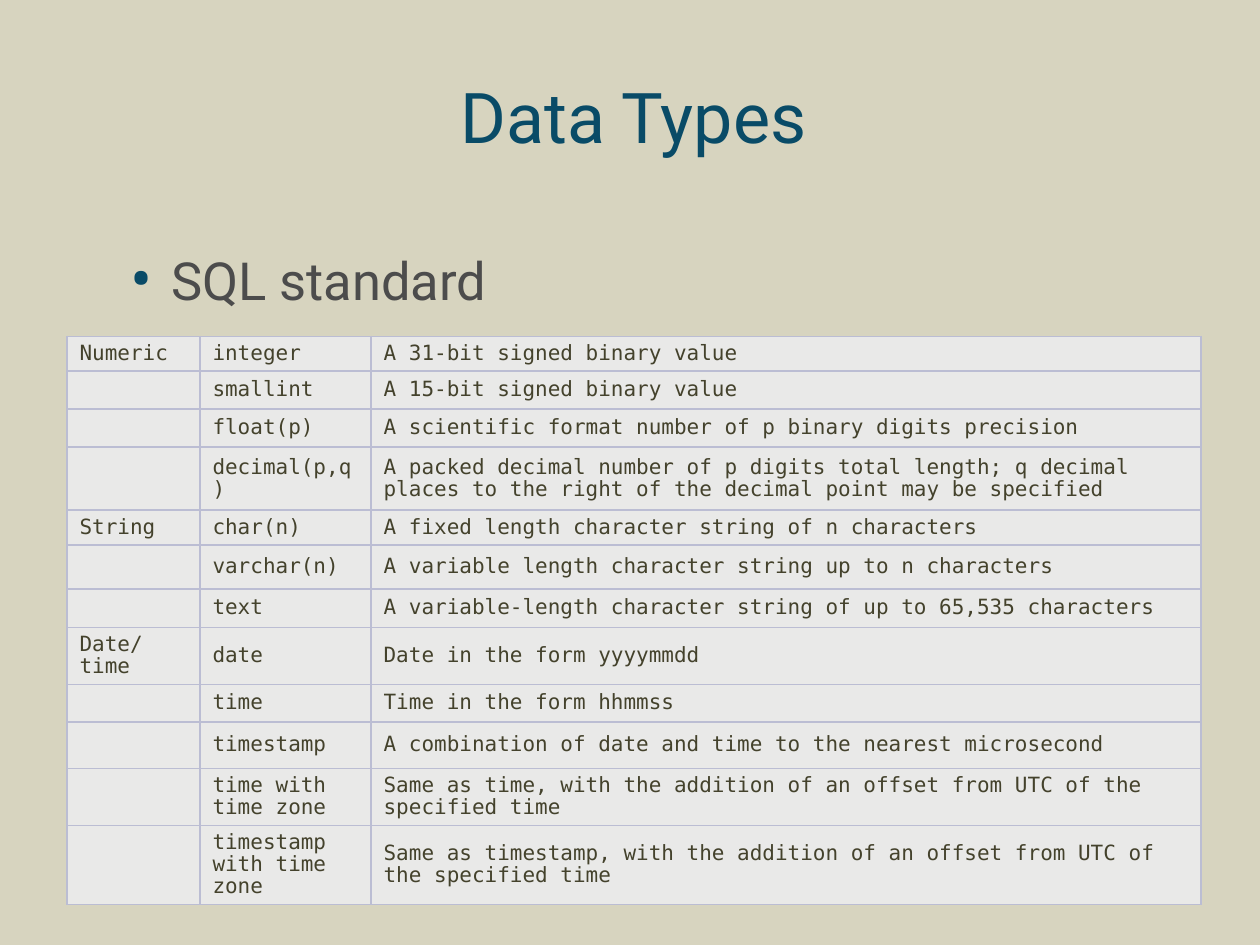
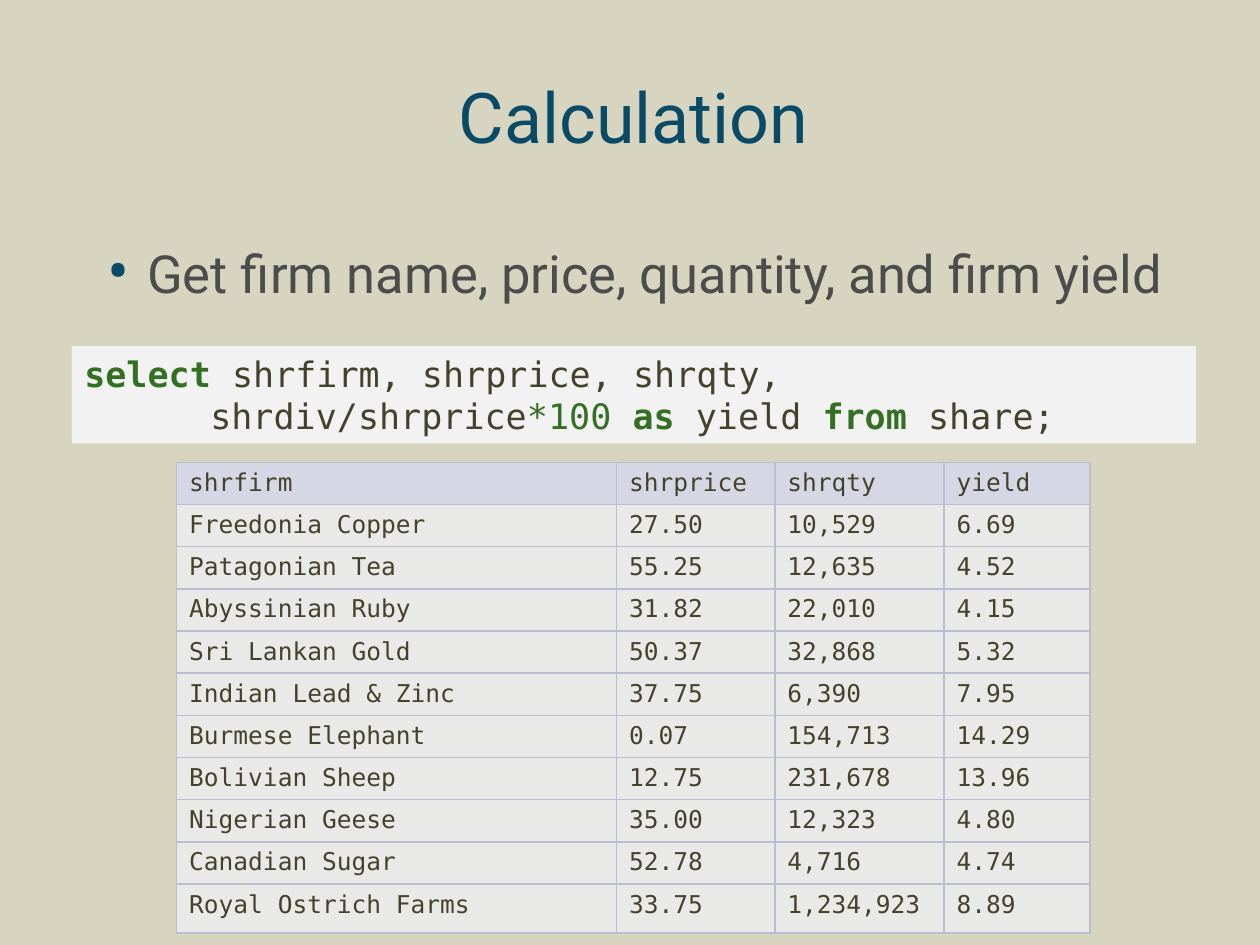
from lxml.etree import SubElement
from pptx import Presentation
from pptx.dml.color import RGBColor
from pptx.enum.shapes import MSO_SHAPE
from pptx.enum.text import MSO_ANCHOR as ANCHOR, MSO_AUTO_SIZE as AUTO, PP_ALIGN as ALIGN
from pptx.oxml.ns import qn
from pptx.util import Cm, Pt

SAND = RGBColor(0xD7, 0xD4, 0xBF)
NAVY = RGBColor(0x09, 0x4B, 0x67)
GREY = RGBColor(0x4C, 0x4C, 0x4C)
OLIVE = RGBColor(0x44, 0x42, 0x2C)
GREEN = RGBColor(0x33, 0x70, 0x23)
CODE_FILL = RGBColor(0xF2, 0xF2, 0xF2)
CELL_FILL = RGBColor(0xE9, 0xE9, 0xE8)
HEAD_FILL = RGBColor(0xD6, 0xD7, 0xE5)
BORDER = RGBColor(0xBB, 0xBD, 0xD3)

SANS = "Roboto"
MONO = "DejaVu Sans Mono"
TITLE_BOX = (1.52, 0.79, 22.5, 3.07)

DATA_TYPES = [
    ("Numeric", "integer", "A 31-bit signed binary value"),
    ("", "smallint", "A 15-bit signed binary value"),
    ("", "float(p)", "A scientific format number of p binary digits precision"),
    ("", "decimal(p,q)", "A packed decimal number of p digits total length; q decimal "
                         "places to the right of the decimal point may be specified"),
    ("String", "char(n)", "A fixed length character string of n characters"),
    ("", "varchar(n)", "A variable length character string up to n characters"),
    ("", "text", "A variable-length character string of up to 65,535 characters"),
    ("Date/time", "date", "Date in the form yyyymmdd"),
    ("", "time", "Time in the form hhmmss"),
    ("", "timestamp", "A combination of date and time to the nearest microsecond"),
    ("", "time with time zone", "Same as time, with the addition of an offset from UTC "
                                "of the specified time"),
    ("", "timestamp with time zone", "Same as timestamp, with the addition of an offset "
                                     "from UTC of the specified time"),
]
DATA_TYPE_HEIGHTS = [0.69, 0.75, 0.77, 1.27, 0.69, 0.89, 0.77, 1.13, 0.75, 0.93, 1.13, 1.55]

SHARES = [
    ("shrfirm", "shrprice", "shrqty", "yield"),
    ("Freedonia Copper", "27.50", "10,529", "6.69"),
    ("Patagonian Tea", "55.25", "12,635", "4.52"),
    ("Abyssinian Ruby", "31.82", "22,010", "4.15"),
    ("Sri Lankan Gold", "50.37", "32,868", "5.32"),
    ("Indian Lead & Zinc", "37.75", "6,390", "7.95"),
    ("Burmese Elephant", "0.07", "154,713", "14.29"),
    ("Bolivian Sheep", "12.75", "231,678", "13.96"),
    ("Nigerian Geese", "35.00", "12,323", "4.80"),
    ("Canadian Sugar", "52.78", "4,716", "4.74"),
    ("Royal Ostrich Farms", "33.75", "1,234,923", "8.89"),
]
SHARE_HEIGHTS = [0.85] * 10 + [0.99]

QUERY = [
    [("select ", GREEN, True), ("shrfirm, shrprice, shrqty,", OLIVE, False)],
    [("shrdiv/shrprice", OLIVE, False), ("*100 ", GREEN, False), ("as", GREEN, True),
     (" yield ", OLIVE, False), ("from", GREEN, True), (" share;", OLIVE, False)],
]


def format_run(r, font, size, color, bold=False):
    r.font.name = font
    r.font.size = Pt(size)
    r.font.color.rgb = color
    r.font.bold = bold


def add_titled_slide(prs, title):
    slide = prs.slides.add_slide(prs.slide_layouts[5])
    sp = slide.shapes.title
    sp.left, sp.top, sp.width, sp.height = map(Cm, TITLE_BOX)
    tf = sp.text_frame
    tf.text = title
    tf.auto_size = AUTO.NONE
    tf.vertical_anchor = ANCHOR.MIDDLE
    p = tf.paragraphs[0]
    p.alignment = ALIGN.CENTER
    format_run(p.runs[0], SANS, 40, NAVY)
    return slide


def add_bullet(slide, text, box, margins):
    tf = slide.shapes.add_textbox(*map(Cm, box)).text_frame
    tf.word_wrap = True
    tf.margin_left = tf.margin_right = Cm(margins[0])
    tf.margin_top = tf.margin_bottom = Cm(margins[1])
    tf.text = text
    p = tf.paragraphs[0]
    p.space_before = Pt(7)
    format_run(p.runs[0], SANS, 30, GREY)
    pPr = p._p.get_or_add_pPr()
    pPr.set("marL", str(Cm(1.3)))
    pPr.set("indent", str(Cm(-0.81)))
    color = SubElement(pPr, qn("a:buClr"))
    SubElement(color, qn("a:srgbClr")).set("val", str(NAVY))
    SubElement(pPr, qn("a:buSzPct")).set("val", "125000")
    SubElement(pPr, qn("a:buFont")).set("typeface", SANS)
    SubElement(pPr, qn("a:buChar")).set("char", "•")


def add_query(slide, lines, box):
    sp = slide.shapes.add_shape(MSO_SHAPE.RECTANGLE, *map(Cm, box))
    sp.shadow.inherit = False
    sp.fill.solid()
    sp.fill.fore_color.rgb = CODE_FILL
    sp.line.fill.background()
    tf = sp.text_frame
    tf.word_wrap = True
    tf.vertical_anchor = ANCHOR.TOP
    for i, line in enumerate(lines):
        p = tf.add_paragraph() if i else tf.paragraphs[0]
        p.alignment = ALIGN.LEFT
        if i:
            p._p.get_or_add_pPr().set("marL", str(Cm(2.54)))
        for text, color, bold in line:
            r = p.add_run()
            r.text = text
            format_run(r, MONO, 20, color, bold)


def add_borders(cell):
    tcPr = cell._tc.get_or_add_tcPr()
    for side in "LRTB":
        ln = SubElement(tcPr, qn(f"a:ln{side}"), w=str(Pt(1)))
        fill = SubElement(ln, qn("a:solidFill"))
        SubElement(fill, qn("a:srgbClr")).set("val", str(BORDER))


def fill_cell(cell, text, size, fill, anchor, spacing):
    add_borders(cell)
    cell.fill.solid()
    cell.fill.fore_color.rgb = fill
    cell.vertical_anchor = anchor
    cell.text_frame.text = text
    p = cell.text_frame.paragraphs[0]
    p.line_spacing = spacing
    for r in p.runs:
        format_run(r, MONO, size, OLIVE)
    if not text:
        SubElement(p._p, qn("a:endParaRPr"), sz=str(size * 100))


def add_grid(slide, rows, left, top, widths, heights, size,
             header=False, body_anchor=ANCHOR.MIDDLE, spacing=1.0):
    box = (left, top, sum(widths), sum(heights))
    table = slide.shapes.add_table(len(rows), len(widths), *map(Cm, box)).table
    table.first_row = header
    table.horz_banding = False
    for col, width in zip(table.columns, widths):
        col.width = Cm(width)
    for i, (row, height, texts) in enumerate(zip(table.rows, heights, rows)):
        row.height = Cm(height)
        is_head = header and i == 0
        fill = HEAD_FILL if is_head else CELL_FILL
        anchor = ANCHOR.MIDDLE if is_head else body_anchor
        for cell, text in zip(row.cells, texts):
            fill_cell(cell, text, size, fill, anchor, spacing)


def build_data_types(prs):
    slide = add_titled_slide(prs, "Data Types")
    add_bullet(slide, "SQL standard", (1.9, 4.88, 21.59, 11), (0.25, 0.13))
    add_grid(slide, DATA_TYPES, 1.35, 6.78, [2.68, 3.45, 16.73],
             DATA_TYPE_HEIGHTS, 12, spacing=0.88)


def build_calculation(prs):
    slide = add_titled_slide(prs, "Calculation")
    add_bullet(slide, "Get firm name, price, quantity, and firm yield",
               (1.52, 4.7, 22.5, 12.6), (0.15, 0.15))
    add_query(slide, QUERY, (1.45, 6.98, 22.66, 1.96))
    add_grid(slide, SHARES, 3.56, 9.32, [8.87, 3.19, 3.41, 2.94],
             SHARE_HEIGHTS, 14, header=True, body_anchor=ANCHOR.TOP)


def main():
    prs = Presentation()
    prs.slide_width, prs.slide_height = Cm(25.4), Cm(19.05)
    background = prs.slide_master.background.fill
    background.solid()
    background.fore_color.rgb = SAND
    build_data_types(prs)
    build_calculation(prs)
    prs.save("out.pptx")


if __name__ == "__main__":
    main()
